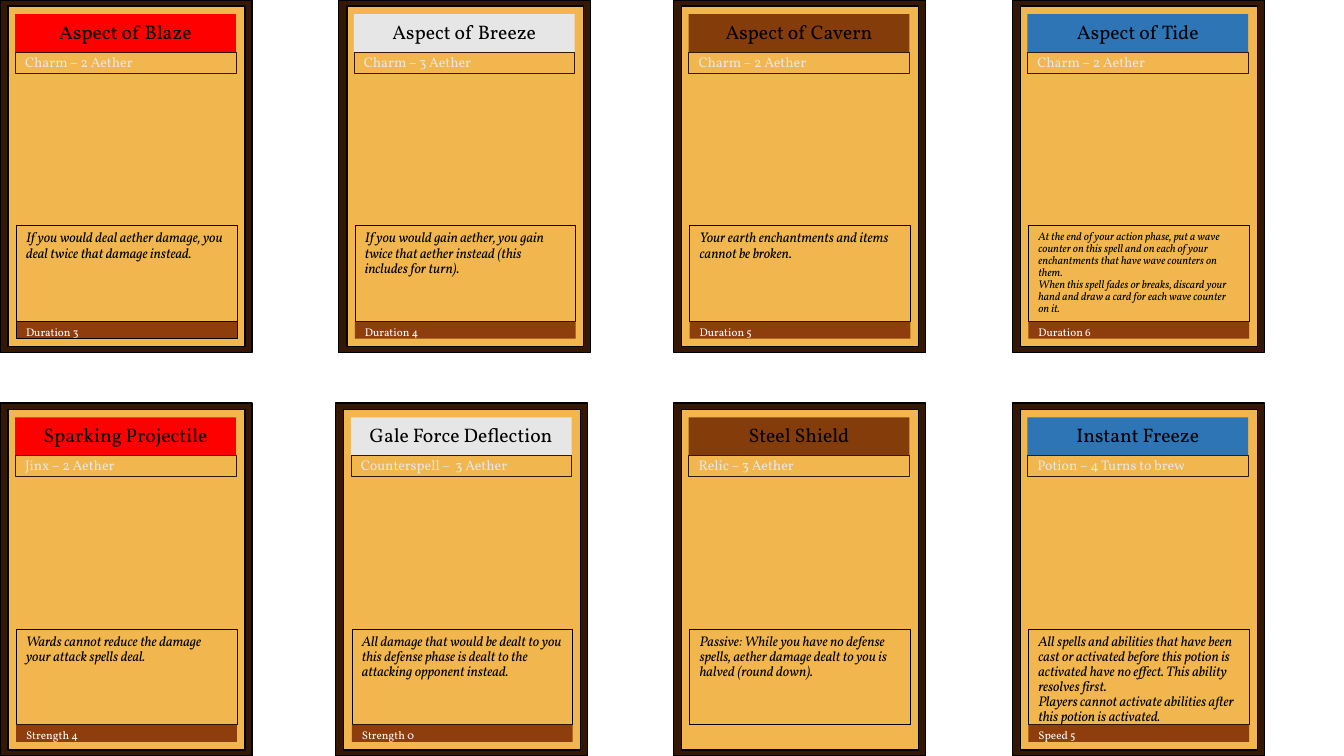
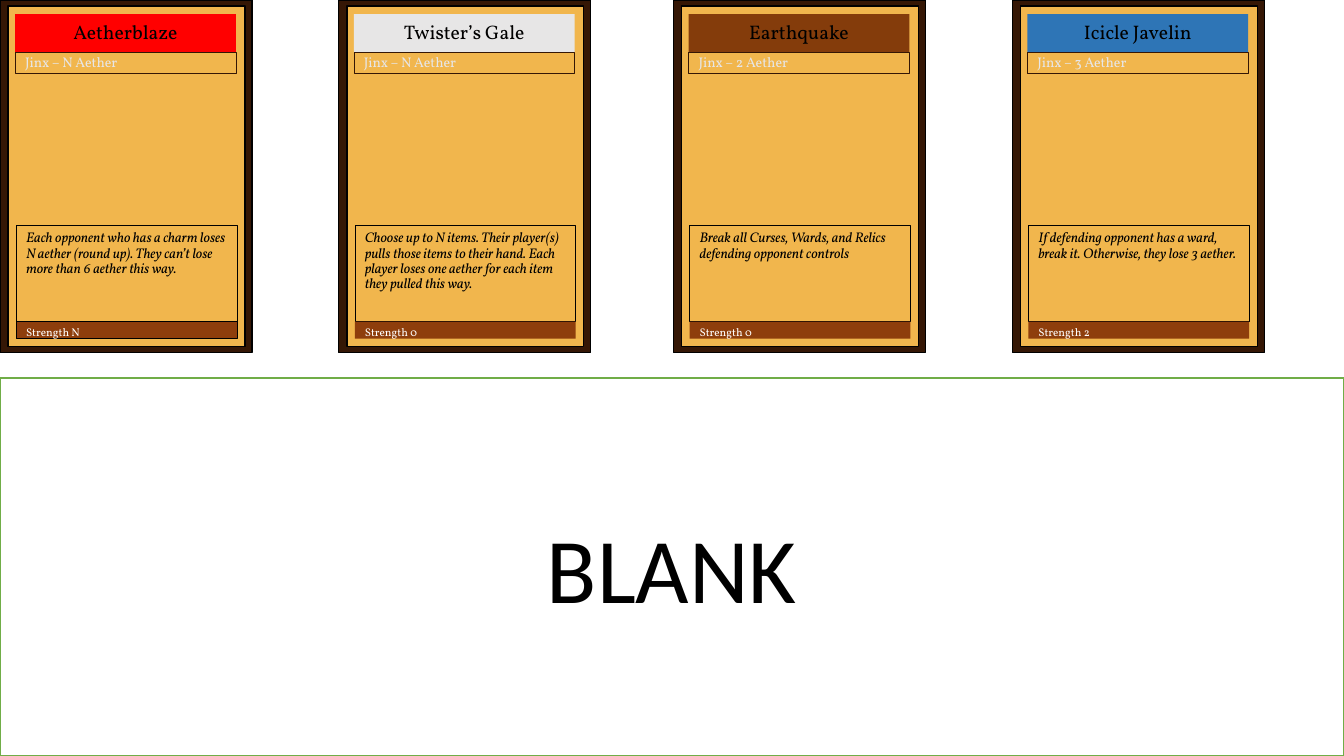
from pptx import Presentation
from pptx.dml.color import RGBColor
from pptx.enum.shapes import MSO_SHAPE as Shape
from pptx.enum.text import MSO_ANCHOR as Anchor, PP_ALIGN as Align
from pptx.util import Inches, Pt

# Content: (element, title, type line, rules, footer, rules size)
CHARMS = [
    ("fire", "Aspect of Blaze", "Charm – 2 Aether",
     ["If you would deal aether damage, you deal twice that damage instead."],
     "Duration 3", "text"),
    ("air", "Aspect of Breeze", "Charm – 3 Aether",
     ["If you would gain aether, you gain twice that aether instead "
      "(this includes for turn)."],
     "Duration 4", "text"),
    ("earth", "Aspect of Cavern", "Charm – 2 Aether",
     ["Your earth enchantments and items cannot be broken."],
     "Duration 5", "text"),
    ("water", "Aspect of Tide", "Charm – 2 Aether",
     ["At the end of your action phase, put a wave counter on this spell and "
      "on each of your enchantments that have wave counters on them.",
      "When this spell fades or breaks, discard your hand and draw a card for "
      "each wave counter on it."],
     "Duration 6", "small"),
]
MIXED = [
    ("fire", "Sparking Projectile", "Jinx – 2 Aether",
     ["Wards cannot reduce the damage your attack spells deal."],
     "Strength 4", "text"),
    ("air", "Gale Force Deflection", "Counterspell –  3 Aether",
     ["All damage that would be dealt to you this defense phase is dealt to "
      "the attacking opponent instead."],
     "Strength 0", "text"),
    ("earth", "Steel Shield", "Relic – 3 Aether",
     ["Passive: While you have no defense spells, aether damage dealt to you "
      "is halved (round down)."],
     None, "text"),
    ("water", "Instant Freeze", "Potion – 4 Turns to brew",
     ["All spells and abilities that have been cast or activated before this "
      "potion is activated have no effect. This ability resolves first.",
      "Players cannot activate abilities after this potion is activated."],
     "Speed 5", "text"),
]
JINXES = [
    ("fire", "Aetherblaze", "Jinx – N Aether",
     ["Each opponent who has a charm loses N aether (round up). They can’t "
      "lose more than 6 aether this way."],
     "Strength N", "text"),
    ("air", "Twister’s Gale", "Jinx – N Aether",
     ["Choose up to N items. Their player(s) pulls those items to their hand. "
      "Each player loses one aether for each item they pulled this way."],
     "Strength 0", "text"),
    ("earth", "Earthquake", "Jinx – 2 Aether",
     ["Break all Curses, Wards, and Relics defending opponent controls"],
     "Strength 0", "text"),
    ("water", "Icicle Javelin", "Jinx – 3 Aether",
     ["If defending opponent has a ward, break it. Otherwise, they lose "
      "3 aether."],
     "Strength 2", "text"),
]


# Theme
class Theme:
    font, plain = "Vollkorn", "Calibri"
    size = {"title": 14, "text": 10, "small": 8, "blank": 66}
    color = {
        "fire": "FF0000", "air": "E7E6E6", "earth": "843C0B",
        "water": "2E75B6", "frame": "351705", "card": "F1B64D",
        "foot": "8E3E0C", "ink": "000000", "pale": "E7E6E6",
        "white": "FFFFFF", "green": "70AD47",
    }


# Card grid, and each part's place on a card
SLIDE = (13.33, 7.5)
TOP = (0, [0, 3.36, 6.68, 10.04])
LOW = (4, [0, 3.33, 6.68, 10.04])
PARTS = {
    "frame": (0, 0, 2.5, 3.5),
    "card": (0.08, 0.06, 2.35, 3.38),
    "title": (0.15, 0.14, 2.19, 0.38),
    "type": (0.15, 0.52, 2.19, 0.21),
    "rules": (0.16, 2.24, 2.19, 0.95),
    "foot": (0.16, 3.19, 2.19, 0.17),
}


def tint(name):
    return RGBColor.from_string(Theme.color[name])


def add_box(slide, place, fill=None, line=None, width=0.5):
    box = slide.shapes.add_shape(Shape.RECTANGLE, *map(Inches, place))
    box.shadow.inherit = False
    if fill:
        box.fill.solid()
        box.fill.fore_color.rgb = tint(fill)
    else:
        box.fill.background()
    if line:
        box.line.color.rgb = tint(line)
        box.line.width = Pt(width)
    else:
        box.line.fill.background()
    return box


def write(box, lines, size, color="ink", font=Theme.font, align=Align.LEFT,
          anchor=Anchor.TOP, italic=False, space=0.9):
    frame = box.text_frame
    frame.word_wrap = True
    frame.vertical_anchor = anchor
    frame.text = "\n".join(lines)
    for para in frame.paragraphs:
        para.alignment = align
        para.line_spacing = space
        for run in para.runs:
            run.font.name = font
            run.font.size = Pt(Theme.size[size])
            run.font.color.rgb = tint(color)
            run.font.italic = italic


def add_card(slide, left, top, card):
    element, title, kind, rules, foot, size = card

    def part(name, *style):
        x, y, w, h = PARTS[name]
        return add_box(slide, (left + x, top + y, w, h), *style)

    part("frame", "frame", "ink", 1)
    part("card", "card", "ink", 1)
    write(part("title", element), [title], "title",
          align=Align.CENTER, anchor=Anchor.MIDDLE)
    write(part("type", None, "frame"), [kind], "text", "pale",
          anchor=Anchor.MIDDLE)
    write(part("rules", "card", "ink"), rules, size, italic=True)
    if foot:
        # Only the first card of a top row has an outlined footer
        edge = "ink" if left == top == 0 else None
        write(part("foot", "foot", edge), [foot], "small", "white")


def add_row(slide, row, cards):
    top, lefts = row
    for left, card in zip(lefts, cards):
        add_card(slide, left, top, card)


def main():
    deck = Presentation()
    deck.slide_width, deck.slide_height = map(Inches, SLIDE)
    blank = deck.slide_layouts[6]

    # Slide 1: two rows of cards
    first = deck.slides.add_slide(blank)
    add_row(first, TOP, CHARMS)
    add_row(first, LOW, MIXED)

    # Slide 2: one row, and an empty lower half
    second = deck.slides.add_slide(blank)
    add_row(second, TOP, JINXES)
    wide, high = SLIDE
    half = add_box(second, (0, high / 2, wide, high / 2), "white", "green", 1)
    write(half, ["BLANK"], "blank", font=Theme.plain, align=Align.CENTER,
          anchor=Anchor.MIDDLE, space=1.0)

    deck.save("out.pptx")


if __name__ == "__main__":
    main()
